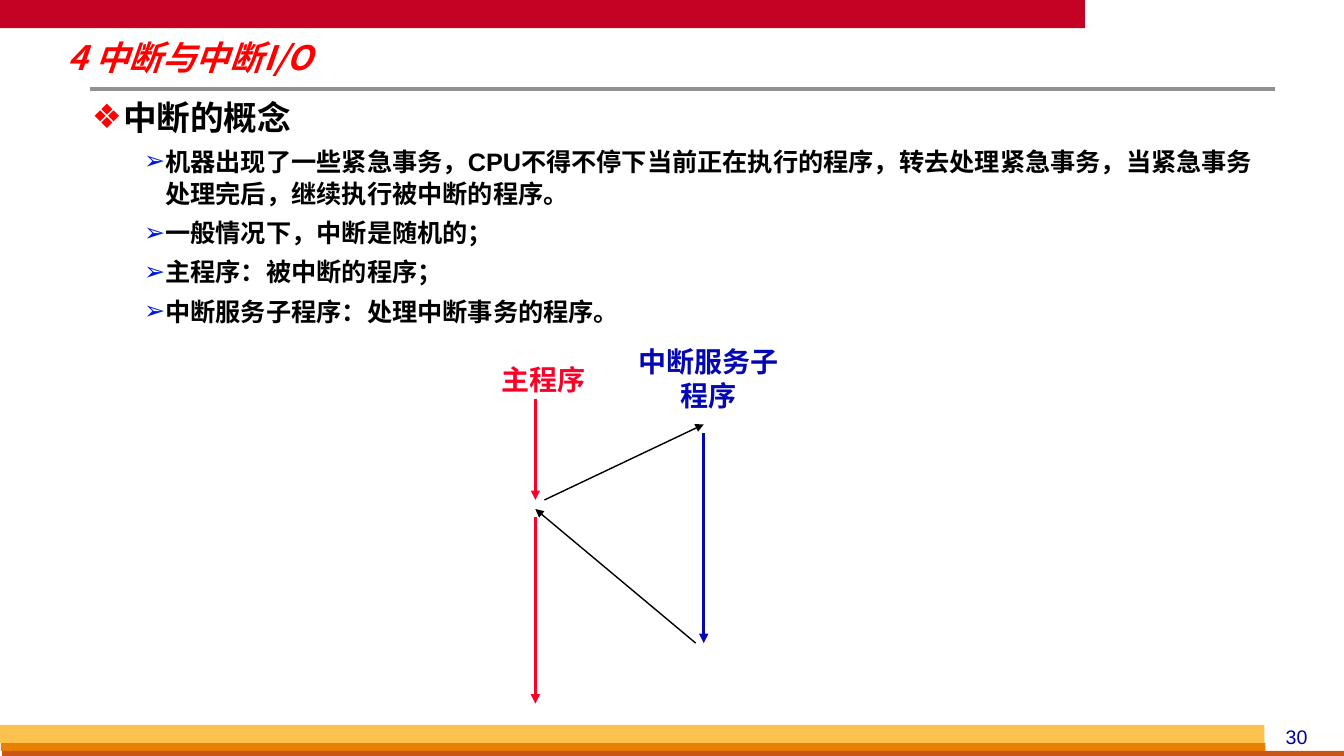
from typing import NamedTuple

from lxml.etree import SubElement
from pptx import Presentation
from pptx.dml.color import RGBColor
from pptx.enum.shapes import MSO_CONNECTOR, MSO_SHAPE
from pptx.enum.text import MSO_ANCHOR, MSO_AUTO_SIZE, PP_ALIGN
from pptx.oxml.ns import qn
from pptx.util import Inches, Pt

RED, BLUE, BLACK = "FC0128", "0408B2", "000000"
MAIN_X, SUB_X = 5.31, 6.98


class Bar(NamedTuple):
    box: tuple[float, float, float, float]
    hue: str


class Arrow(NamedTuple):
    start: tuple[float, float]
    end: tuple[float, float]
    hue: str
    width: float


class Label(NamedTuple):
    text: str
    box: tuple[float, float, float, float]
    size: float
    hue: str
    bold: bool = True


class Level(NamedTuple):
    size: float
    mark: str
    hue: str
    left: float
    hang: float
    before: float


BARS = [
    Bar((0, 0, 10.76, 0.28), "C30224"),
    Bar((0.01, 7.37, 12.54, 0.08), "E88000"),
    Bar((0.02, 7.45, 13.31, 0.05), "C95616"),
    Bar((0, 7.19, 12.54, 0.18), "FCC24F"),
]
ARROWS = [
    Arrow((MAIN_X, 3.96), (MAIN_X, 4.96), RED, 2.25),
    Arrow((5.4, 4.96), (SUB_X, 4.21), BLACK, 1),
    Arrow((SUB_X, 4.3), (SUB_X, 6.38), BLUE, 2.25),
    Arrow((6.9, 6.38), (MAIN_X, 5.05), BLACK, 1),
    Arrow((MAIN_X, 5.13), (MAIN_X, 6.98), RED, 2.25),
]
LABELS = [
    Label("30", (12.44, 7.14, 0.84, 0.33), 14, "000099", False),
    Label("主程序", (4.56, 3.55, 1.67, 0.43), 20, RED),
    Label("中断服务子程序", (6.19, 3.37, 1.67, 0.77), 20, BLUE),
]
LEVELS = [
    Level(24, "❖", "FF0000", 0.31, 0.31, 0),
    Level(18, "➢", "001ADC", 0.73, 0.21, 5.4),
]
POINTS = [
    (0, "中断的概念"),
    (1, "机器出现了一些紧急事务，CPU不得不停下当前正在执行的程序，"
        "转去处理紧急事务，当紧急事务处理完后，继续执行被中断的程序。"),
    (1, "一般情况下，中断是随机的；"),
    (1, "主程序：被中断的程序；"),
    (1, "中断服务子程序：处理中断事务的程序。"),
]


def color(code: str) -> RGBColor:
    return RGBColor.from_string(code)


def write(para, text: str, *, size: float, hue: str, face: str = "Arial",
          bold: bool = True, slant: bool = False) -> None:
    """Add one run, with the same face for Latin and Chinese."""
    run = para.add_run()
    run.text = text
    font = run.font
    font.name, font.size = face, Pt(size)
    font.bold, font.italic = bold, slant
    font.color.rgb = color(hue)
    SubElement(run._r.get_or_add_rPr(), qn("a:ea"), typeface=face)


def place(shape, box: tuple[float, float, float, float]) -> None:
    shape.left, shape.top, shape.width, shape.height = map(Inches, box)


def fit(frame, anchor: MSO_ANCHOR) -> None:
    """Set the tight insets shared by the title and the body."""
    frame.margin_left = frame.margin_right = Inches(0.07)
    frame.margin_top = frame.margin_bottom = Inches(0.03)
    frame.word_wrap = True
    frame.auto_size = MSO_AUTO_SIZE.NONE
    frame.vertical_anchor = anchor


def draw_bar(slide, bar: Bar) -> None:
    shape = slide.shapes.add_shape(MSO_SHAPE.RECTANGLE, *map(Inches, bar.box))
    shape.shadow.inherit = False
    shape.fill.solid()
    shape.fill.fore_color.rgb = color(bar.hue)
    shape.line.fill.background()


def draw_line(slide, path: Arrow, head: bool = True) -> None:
    line = slide.shapes.add_connector(
        MSO_CONNECTOR.STRAIGHT, *map(Inches, path.start + path.end))
    line.line.color.rgb = color(path.hue)
    line.line.width = Pt(path.width)
    if head:
        SubElement(line.line._get_or_add_ln(), qn("a:tailEnd"), type="triangle")
    SubElement(line._element.spPr, qn("a:effectLst"))


def draw_label(slide, label: Label) -> None:
    frame = slide.shapes.add_textbox(*map(Inches, label.box)).text_frame
    frame.word_wrap = True
    para = frame.paragraphs[0]
    para.alignment = PP_ALIGN.CENTER
    write(para, label.text, size=label.size, hue=label.hue, bold=label.bold)


def draw_title(slide) -> None:
    title = slide.shapes.title
    place(title, (0.6, 0.39, 5.75, 0.41))
    fit(title.text_frame, MSO_ANCHOR.MIDDLE)
    para = title.text_frame.paragraphs[0]
    para.alignment = PP_ALIGN.LEFT
    para.line_spacing = 0.87
    write(para, "4 中断与中断I/O", size=24, hue="FF0000",
          face="Noto Sans CJK SC", slant=True)


def add_mark(para, level: Level) -> None:
    """Give a paragraph its coloured bullet and hanging indent."""
    props = para._p.get_or_add_pPr()
    props.set("marL", str(Inches(level.left)))
    props.set("indent", str(-Inches(level.hang)))
    tint = SubElement(props, qn("a:buClr"))
    SubElement(tint, qn("a:srgbClr"), val=level.hue)
    SubElement(props, qn("a:buChar"), char=level.mark)


def draw_body(slide) -> None:
    body = slide.placeholders[1]
    place(body, (0.84, 0.91, 11.81, 2.43))
    frame = body.text_frame
    fit(frame, MSO_ANCHOR.TOP)
    for i, (depth, text) in enumerate(POINTS):
        para = frame.add_paragraph() if i else frame.paragraphs[0]
        level = LEVELS[depth]
        add_mark(para, level)
        para.level = depth
        para.line_spacing = 1.05
        para.space_before = Pt(level.before)
        write(para, text, size=level.size, hue=BLACK)


def main() -> None:
    deck = Presentation()
    deck.slide_width, deck.slide_height = Inches(13.33), Inches(7.5)
    slide = deck.slides.add_slide(deck.slide_layouts[1])
    for bar in BARS:
        draw_bar(slide, bar)
    draw_line(slide, Arrow((0.89, 0.88), (12.65, 0.88), "919191", 3), head=False)
    draw_title(slide)
    draw_body(slide)
    for arrow in ARROWS:
        draw_line(slide, arrow)
    for label in LABELS:
        draw_label(slide, label)
    deck.save("out.pptx")


if __name__ == "__main__":
    main()
